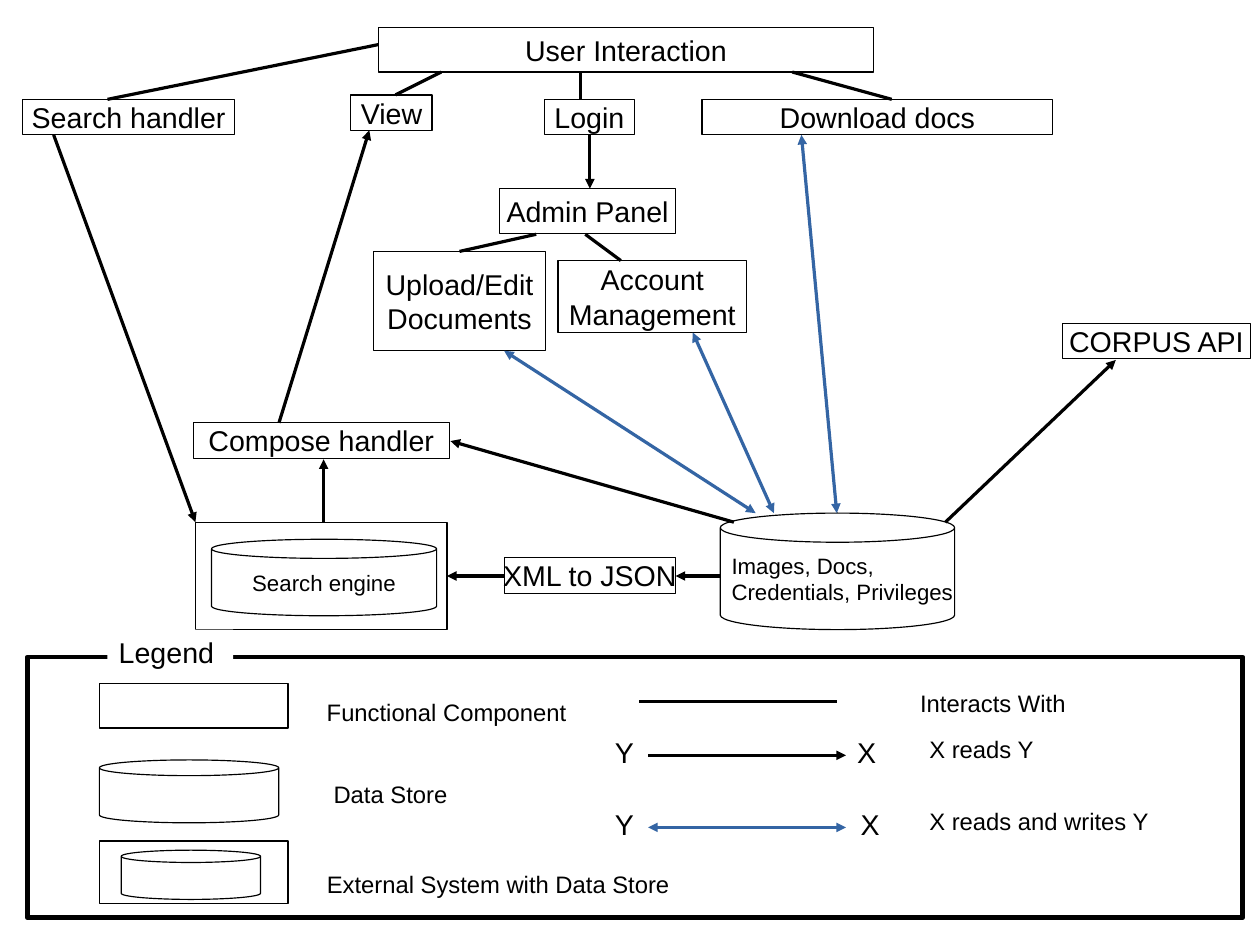
from lxml import etree
from pptx import Presentation
from pptx.dml.color import RGBColor
from pptx.enum.shapes import MSO_CONNECTOR, MSO_SHAPE
from pptx.enum.text import MSO_ANCHOR, MSO_AUTO_SIZE, PP_ALIGN
from pptx.oxml.ns import qn
from pptx.util import Pt

RECT, CAN = MSO_SHAPE.RECTANGLE, MSO_SHAPE.CAN
LINE = MSO_CONNECTOR.STRAIGHT
MID, TOP = MSO_ANCHOR.MIDDLE, MSO_ANCHOR.TOP
LEFT, CENTER = PP_ALIGN.LEFT, PP_ALIGN.CENTER
FIXED, GROW = MSO_AUTO_SIZE.NONE, MSO_AUTO_SIZE.SHAPE_TO_FIT_TEXT
BLACK, WHITE, BLUE = "000000", "FFFFFF", "3465A4"
INSIDE = {"word_wrap": False, "auto_size": FIXED, "vertical_anchor": MID}
LABEL = {"word_wrap": True, "auto_size": GROW, "vertical_anchor": TOP}


def write(shape, text, size, align, style):
    frame = shape.text_frame
    for name, value in style.items():
        setattr(frame, name, value)
    for i, row in enumerate(text.split("\n")):
        para = frame.add_paragraph() if i else frame.paragraphs[0]
        para.alignment = align
        run = para.add_run()
        run.text = row
        for name, value in {"size": Pt(size), "name": "Arial"}.items():
            setattr(run.font, name, value)
        run.font.color.rgb = RGBColor.from_string(BLACK)


def draw(kind, box, fill=None, line=BLACK, width=0):
    shape = slide.shapes.add_shape(kind, *map(Pt, box))
    shape.shadow.inherit = False
    for part, color in ((shape.fill, fill), (shape.line.fill, line)):
        if color:
            part.solid()
            part.fore_color.rgb = RGBColor.from_string(color)
        else:
            part.background()
    if line:
        shape.line.width = Pt(width)
    return shape


deck = Presentation()
deck.slide_width, deck.slide_height = Pt(793.5), Pt(595.4)
slide = deck.slides.add_slide(deck.slide_layouts[6])

# Functional components, the empty ones being frames and legend keys
boxes = [
    ("User Interaction", 238.3, 17.3, 311.8, 28.1),
    ("Search handler", 14.4, 62.6, 133.2, 22.3),
    ("View", 221, 59.8, 51.1, 22.3),
    ("Login", 342.7, 62.6, 56.9, 22.3),
    ("Download docs", 442.1, 62.6, 221, 22.3),
    ("Admin Panel", 314.6, 118.8, 110.9, 28.1),
    ("Upload/Edit\nDocuments", 235.4, 158.4, 108, 62.6),
    ("Account\nManagement", 351.4, 164.2, 118.8, 45.4),
    ("CORPUS API", 668.9, 203.8, 118.8, 22.3),
    ("Compose handler", 121.7, 266.4, 161.3, 22.3),
    ("XML to JSON", 317.5, 351.4, 108, 22.3),
    ("", 123.1, 329, 158.4, 67.7),
    ("", 62.6, 430.6, 118.8, 28.1),
    ("", 62.6, 529.9, 118.8, 39.6),
]
for text, *box in boxes:
    shape = draw(RECT, box)
    if text:
        write(shape, text, 18, CENTER, INSIDE)

# Data stores
stores = [
    ("Images, Docs,\nCredentials, Privileges", LEFT, 453.6, 323.3, 147.6, 73.4),
    ("Search engine", CENTER, 133.2, 339.8, 141.8, 48.2),
    ("", CENTER, 62.6, 478.8, 113, 39.6),
    ("", CENTER, 76.3, 535.7, 87.8, 31),
]
for text, align, *box in stores:
    shape = draw(CAN, box, WHITE)
    shape.adjustments[0] = 0.25
    if text:
        write(shape, text, 14, align, INSIDE)

# Links, grouped by meaning: colour, arrowheads, end points
links = [
    (BLACK, (), [  # interacts with
        (238.3, 28.1, 67.7, 62.6),
        (277.9, 45.4, 249.1, 59.8),
        (365.8, 45.4, 365.8, 62.6),
        (499, 45.4, 561.6, 62.6),
        (337.7, 147.6, 289.4, 158.4),
        (368.6, 147.6, 391, 164.2),
        (402.5, 442.1, 527, 442.1),
    ]),
    (BLACK, ("tailEnd",), [  # reads
        (371.5, 85, 371.5, 118.8),
        (175.7, 266.4, 232.6, 82.1),
        (33.8, 85, 123.1, 329),
        (203.8, 329, 203.8, 289.4),
        (462.2, 329, 283.7, 277.9),
        (595.4, 329, 702.7, 226.8),
        (453.6, 362.9, 425.5, 362.9),
        (317.5, 362.9, 281.5, 362.9),
        (408.2, 475.9, 532.8, 475.9),
    ]),
    (BLUE, ("headEnd", "tailEnd"), [  # reads and writes
        (475.9, 323.3, 317.5, 221),
        (487.4, 323.3, 436.3, 209.5),
        (527, 323.3, 504.7, 85),
        (408.2, 521.3, 532.8, 521.3),
    ]),
]
for color, heads, ends in links:
    for end in ends:
        link = slide.shapes.add_connector(LINE, *map(Pt, end))
        link.line.color.rgb = RGBColor.from_string(color)
        link.line.width = Pt(0)
        edge = link.line._get_or_add_ln()
        for head in heads:
            etree.SubElement(edge, qn("a:" + head), type="triangle")
        etree.SubElement(link._element.spPr, qn("a:effectLst"))

# Legend
draw(RECT, (17.3, 414, 765.4, 164.2), width=3)
title = draw(RECT, (67.7, 396.7, 79.2, 27.4), WHITE, None)
write(title, "Legend", 18, LEFT, LABEL)
notes = [
    ("Functional Component", 15, 198.7, 436.3, 187.2),
    ("Data Store", 15, 203, 487.4, 96.5),
    ("External System with Data Store", 15, 198.7, 544.3, 238.3),
    ("Interacts With", 15, 572.4, 430.6, 187.2),
    ("X reads Y", 15, 578.2, 459.4, 124.6),
    ("X reads and writes Y", 15, 578.2, 504.7, 158.4),
    ("Y", 18, 380.2, 459.4, 25.9),
    ("X", 18, 532.8, 459.4, 25.9),
    ("Y", 18, 380.2, 504.7, 25.9),
    ("X", 18, 535, 504.7, 25.9),
]
for text, size, x, y, width in notes:
    note = slide.shapes.add_textbox(Pt(x), Pt(y), Pt(width), Pt(28.1))
    write(note, text, size, LEFT, LABEL)

deck.save("out.pptx")
